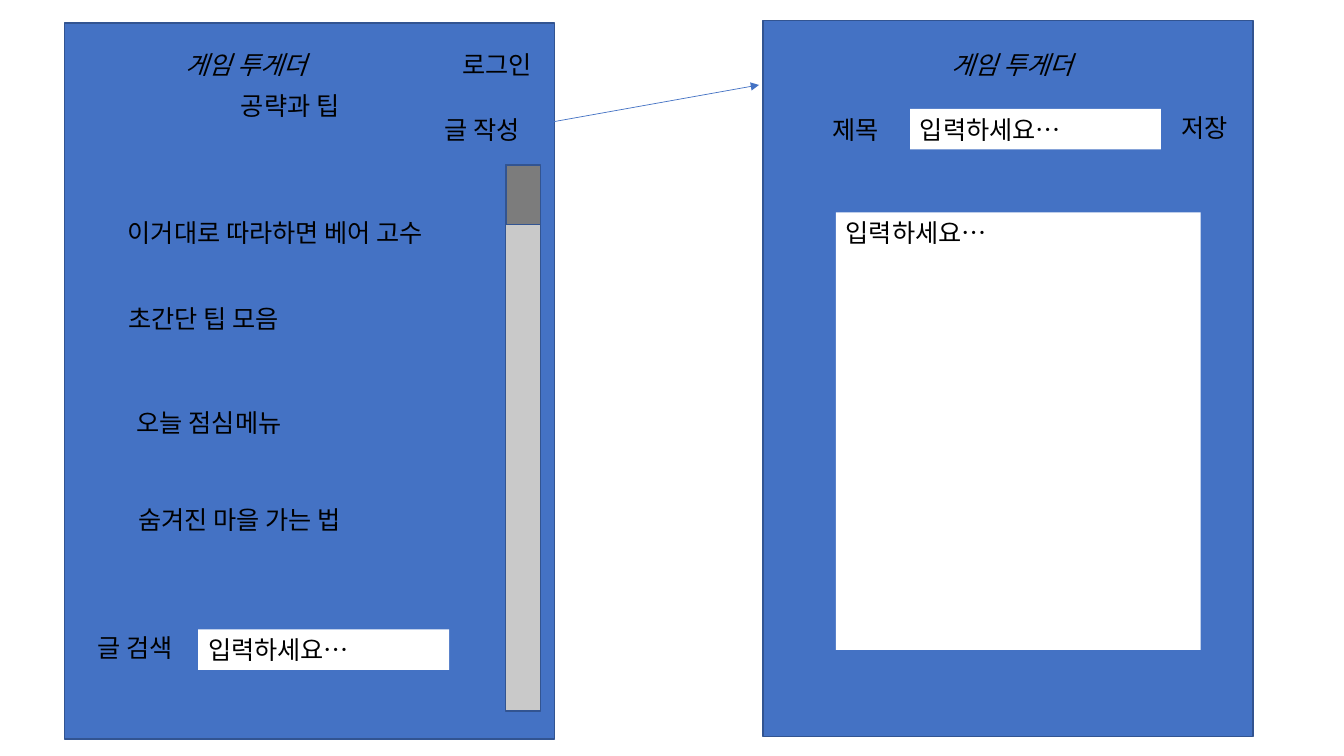
from lxml.etree import SubElement
from pptx import Presentation
from pptx.dml.color import RGBColor
from pptx.enum.shapes import MSO_CONNECTOR, MSO_SHAPE
from pptx.enum.text import MSO_AUTO_SIZE
from pptx.oxml.ns import qn
from pptx.util import Pt

COLORS = {
    "panel": "4472C4",
    "outline": "325491",
    "track": "C9C9C9",
    "thumb": "7C7C7C",
    "field": "FFFFFF",
    "text": "000000",
}
FONT = "Noto Sans CJK KR"
TEXT_HEIGHT = 29


def add_box(left, top, width, height, color):
    shape = slide.shapes.add_shape(
        MSO_SHAPE.RECTANGLE, Pt(left), Pt(top), Pt(width), Pt(height))
    shape.shadow.inherit = False
    shape.fill.solid()
    shape.fill.fore_color.rgb = RGBColor.from_string(COLORS[color])
    shape.line.color.rgb = RGBColor.from_string(COLORS["outline"])
    shape.line.width = Pt(1)


def add_text(text, left, top, width, height=TEXT_HEIGHT, italic=False, field=False):
    shape = slide.shapes.add_textbox(Pt(left), Pt(top), Pt(width), Pt(height))
    if field:
        shape.fill.solid()
        shape.fill.fore_color.rgb = RGBColor.from_string(COLORS["field"])
    frame = shape.text_frame
    frame.text = text
    frame.word_wrap = field
    frame.auto_size = MSO_AUTO_SIZE.SHAPE_TO_FIT_TEXT
    font = frame.paragraphs[0].runs[0].font
    font.name = FONT
    font.size = Pt(18)
    font.italic = italic
    font.color.rgb = RGBColor.from_string(COLORS["text"])
    # Korean glyphs use the East Asian typeface
    SubElement(font._element, qn("a:ea"), typeface=FONT)


presentation = Presentation()
presentation.slide_width = Pt(960)
presentation.slide_height = Pt(540)
slide = presentation.slides.add_slide(presentation.slide_layouts[6])

# Screen panels, then the scrollbar of the list screen
add_box(46, 16.5, 350, 511.5, "panel")
add_box(545, 14.5, 350, 511.5, "panel")
add_box(361, 118, 25, 390, "track")
add_box(361.5, 118, 24.5, 42.5, "thumb")

# Screen titles
for left in (125.3, 672.5):
    add_text("게임 투게더", left, 31.7, 111.6, italic=True)

# Labels, buttons and list of posts
labels = [
    ("로그인", 323.3, 31.7, 69),
    ("공략과 팁", 165, 61.2, 93.6),
    ("글 작성", 310.3, 77.8, 75.6),
    ("이거대로 따라하면 베어 고수", 84.2, 152, 258.5),
    ("초간단 팁 모음", 84.7, 213, 136.8),
    ("오늘 점심메뉴", 90.5, 287.3, 130.3),
    ("숨겨진 마을 가는 법", 91.5, 356.4, 179.3),
    ("글 검색", 62.6, 448, 75.6),
    ("제목", 587.5, 77.8, 51),
    ("저장", 836.6, 77, 51),
]
for label in labels:
    add_text(*label)

# Input fields: search, title and body
fields = [
    (141.5, 449.5, 179.3, TEXT_HEIGHT),
    (650, 77.8, 179.3, TEXT_HEIGHT),
    (597, 151.7, 260.6, 312.5),
]
for field_bounds in fields:
    add_text("입력하세요…", *field_bounds, field=True)

# Arrow from the write button to the editor screen
arrow = slide.shapes.add_connector(
    MSO_CONNECTOR.STRAIGHT, Pt(374.4), Pt(90.7), Pt(542.2), Pt(60.7))
arrow.line.color.rgb = RGBColor.from_string(COLORS["panel"])
arrow.line.width = Pt(0.5)
SubElement(arrow.line._get_or_add_ln(), qn("a:tailEnd"), type="triangle")
SubElement(arrow._element.spPr, qn("a:effectLst"))

presentation.save("out.pptx")
